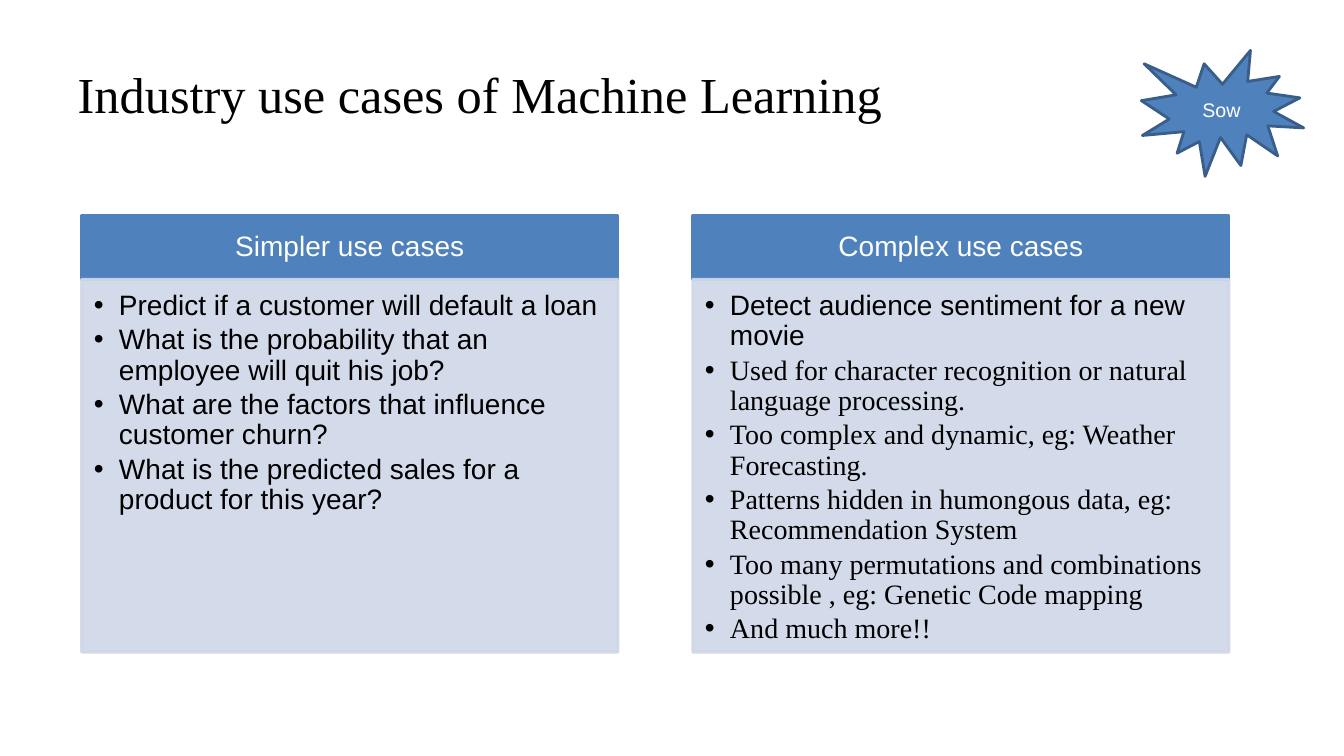
from dataclasses import dataclass

from lxml import etree
from pptx import Presentation, util as u
from pptx.dml.color import RGBColor
from pptx.enum import shapes, text
from pptx.oxml.ns import qn


@dataclass(frozen=True)
class Theme:
    accent: str = "4F81BD"
    accent_dark: str = "395E89"
    panel: str = "CFD7E7"
    ink: str = "000000"
    paper: str = "FFFFFF"
    sans: str = "Arial"
    serif: str = "Times New Roman"
    title_size: int = 36
    text_size: int = 20
    badge_size: int = 14


T = Theme()
HEADER_HEIGHT = 0.63
LEFT, CENTER = text.PP_ALIGN.LEFT, text.PP_ALIGN.CENTER
TOP, MIDDLE = text.MSO_ANCHOR.TOP, text.MSO_ANCHOR.MIDDLE

USE_CASES = [
    ("Simpler use cases", [
        ("Predict if a customer will default a loan", T.sans),
        ("What is the probability that an employee will quit his job?", T.sans),
        ("What are the factors that influence customer churn?", T.sans),
        ("What is the predicted sales for a product for this year?", T.sans),
    ]),
    ("Complex use cases", [
        ("Detect audience sentiment for a new movie", T.sans),
        ("Used for character recognition or natural language processing.", T.serif),
        ("Too complex and dynamic, eg: Weather Forecasting.", T.serif),
        ("Patterns hidden in humongous data, eg: Recommendation System", T.serif),
        ("Too many permutations and combinations possible , eg: Genetic Code mapping", T.serif),
        ("And much more!!", T.serif),
    ]),
]


# Shared formatting
def set_attrs(obj, values):
    for name, value in values.items():
        setattr(obj, name, value)


def place(sp, box):
    names = ("left", "top", "width", "height")
    set_attrs(sp, dict(zip(names, map(u.Inches, box))))


def paint(sp, fill, line, alpha=None):
    sp.fill.solid()
    sp.fill.fore_color.rgb = RGBColor.from_string(fill)
    sp.line.color.rgb = RGBColor.from_string(line)
    sp.line.width = u.Pt(2)
    if alpha is not None:
        for color in sp.element.spPr.iter(qn("a:srgbClr")):
            etree.SubElement(color, qn("a:alpha"), val=str(alpha * 1000))


def frame(sp, anchor, insets):
    tf = sp.text_frame
    set_attrs(tf, {"word_wrap": True, "auto_size": text.MSO_AUTO_SIZE.NONE,
                   "vertical_anchor": anchor})
    names = ("margin_left", "margin_top", "margin_right", "margin_bottom")
    set_attrs(tf, dict(zip(names, map(u.Inches, insets))))
    return tf


def write(p, words, font, size, color, align, spacing=1.0, before=0):
    set_attrs(p, {"alignment": align, "line_spacing": spacing,
                  "space_before": u.Pt(before), "space_after": u.Pt(0)})
    r = p.add_run()
    r.text = words
    set_attrs(r.font, {"name": font, "size": u.Pt(size), "bold": False})
    r.font.color.rgb = RGBColor.from_string(color)


def add_bullet(p):
    pPr = p._p.get_or_add_pPr()
    pPr.set("marL", str(u.Inches(0.25)))
    pPr.set("indent", str(u.Inches(-0.25)))
    color = etree.SubElement(pPr, qn("a:buClr"))
    etree.SubElement(color, qn("a:srgbClr"), val=T.ink)
    etree.SubElement(pPr, qn("a:buFont"), typeface=T.sans)
    etree.SubElement(pPr, qn("a:buChar"), char="•")


# Title
def build_title(sp, box):
    place(sp, box)
    tf = frame(sp, MIDDLE, (0.1, 0.05, 0.1, 0.05))
    write(tf.paragraphs[0], "Industry use cases of Machine Learning",
          T.serif, T.title_size, T.ink, LEFT)


# One column: header band above a bulleted panel
def build_column(header, body, box, heading, items):
    left, top, width, height = box
    place(header, (left, top, width, HEADER_HEIGHT))
    paint(header, T.accent, T.accent)
    tf = frame(header, MIDDLE, (0.16, 0.09, 0.16, 0.09))
    write(tf.paragraphs[0], heading, T.sans, T.text_size, T.paper, CENTER, 0.9)

    place(body, (left, top + HEADER_HEIGHT, width, height - HEADER_HEIGHT))
    paint(body, T.panel, T.panel, alpha=90)
    tf = frame(body, TOP, (0.12, 0.12, 0.16, 0.17))
    for i, (words, font) in enumerate(items):
        p = tf.add_paragraph() if i else tf.paragraphs[0]
        write(p, words, font, T.text_size, T.ink, LEFT, 0.9, 3 if i else 0)
        add_bullet(p)


# Starburst badge
def build_badge(s, box):
    sp = s.shapes.add_shape(shapes.MSO_SHAPE.EXPLOSION1, *map(u.Inches, box))
    sp.shadow.inherit = False
    paint(sp, T.accent, T.accent_dark)
    tf = frame(sp, MIDDLE, (0.1, 0.05, 0.1, 0.05))
    write(tf.paragraphs[0], "Sow", T.sans, T.badge_size, T.paper, CENTER)


def main():
    prs = Presentation()
    prs.slide_width, prs.slide_height = u.Inches(13.33), u.Inches(7.5)
    s = prs.slides.add_slide(prs.slide_layouts.get_by_name("Comparison"))
    title, *parts = s.placeholders
    build_title(title, (0.67, 0.3, 12, 1.25))
    for i, (heading, items) in enumerate(USE_CASES):
        header, body = parts[2 * i:2 * i + 2]
        build_column(header, body, (0.81 + 6.06 * i, 2.14, 5.32, 4.33), heading, items)
    build_badge(s, (11.32, 0.5, 1.61, 1.25))
    prs.save("out.pptx")


if __name__ == "__main__":
    main()
